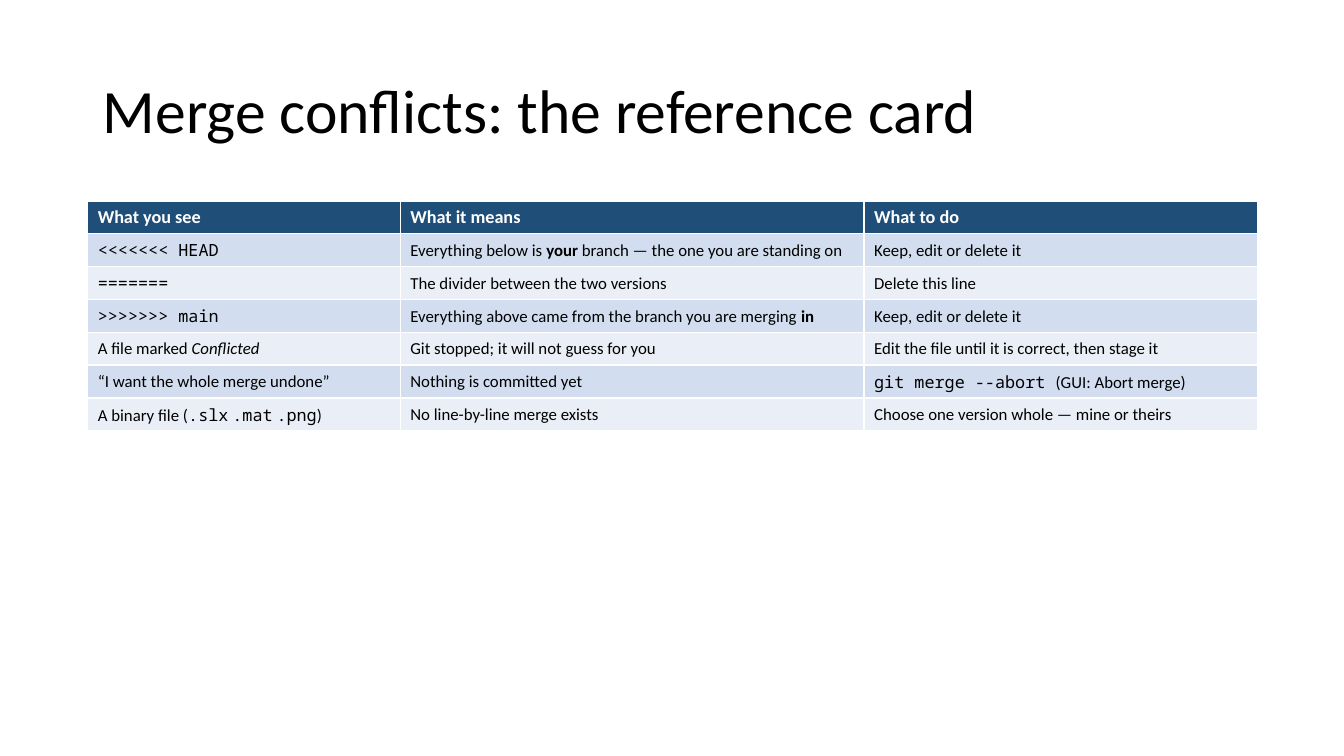
"""Build the merge conflict reference card, laid out on a tenth-inch grid."""
import pptx
import pptx.dml.color
import pptx.enum.text
import pptx.util

SANS, MONO = "Calibri", "Noto Sans Mono"
BLACK, WHITE, NAVY = "000000", "FFFFFF", "1F4E79"
BANDS = ["D2DEEF", "EAEFF7"]
COLS = [31, 46, 39]
ROW = 3.2

HEAD = ["What you see", "What it means", "What to do"]
KEEP = "Keep, edit or delete it"
BODY = [
    [[("<<<<<<< HEAD", "mono")],
     ["Everything below is ", ("your", "bold"),
      " branch — the one you are standing on"], [KEEP]],
    [[("=======", "mono")], ["The divider between the two versions"],
     ["Delete this line"]],
    [[(">>>>>>> main", "mono")],
     ["Everything above came from the branch you are merging ",
      ("in", "bold")], [KEEP]],
    [["A file marked ", ("Conflicted", "slant")],
     ["Git stopped; it will not guess for you"],
     ["Edit the file until it is correct, then stage it"]],
    [["“I want the whole merge undone”"], ["Nothing is committed yet"],
     [("git merge --abort ", "mono"), "(GUI: Abort merge)"]],
    [["A binary file (", (".slx", "mono"), " ", (".mat", "mono"), " ",
      (".png", "mono"), ")"], ["No line-by-line merge exists"],
     ["Choose one version whole — mine or theirs"]],
]


def grid(count):
    return pptx.util.Inches(count / 10)


def tint(color, code):
    color.rgb = pptx.dml.color.RGBColor.from_string(code)


def style(para, size, code, bold=False):
    para.font.name = SANS
    para.font.size = pptx.util.Pt(size)
    para.font.bold = bold
    tint(para.font.color, code)


def write(para, parts):
    for part in parts:
        text, kind = (part, "") if isinstance(part, str) else part
        run = para.add_run()
        run.text = text
        if kind == "mono":
            run.font.name = MONO
        elif kind == "bold":
            run.font.bold = True
        elif kind == "slant":
            run.font.italic = True


def add_title(slide, text):
    title = slide.shapes.title
    title.left, title.top = grid(9.2), grid(4)
    title.width, title.height = grid(115), grid(14.5)
    frame = title.text_frame
    frame.text = text
    frame.vertical_anchor = pptx.enum.text.MSO_ANCHOR.MIDDLE
    para = frame.paragraphs[0]
    para.alignment = pptx.enum.text.PP_ALIGN.LEFT
    para.line_spacing = 0.9
    style(para, 44, BLACK)


def fill_cell(cell, parts, back, size, code, bold=False):
    cell.fill.solid()
    tint(cell.fill.fore_color, back)
    cell.vertical_anchor = pptx.enum.text.MSO_ANCHOR.MIDDLE
    para = cell.text_frame.paragraphs[0]
    style(para, size, code, bold)
    write(para, parts)


def add_card(slide):
    count = len(BODY) + 1
    table = slide.shapes.add_table(
        count, len(COLS), grid(8.7), grid(20),
        grid(sum(COLS)), grid(ROW * count)).table
    for col, width in zip(table.columns, COLS):
        col.width = grid(width)
    for row in table.rows:
        row.height = grid(ROW)
    for col, text in enumerate(HEAD):
        fill_cell(table.cell(0, col), [text], NAVY, 13, WHITE, True)
    for row, cells in enumerate(BODY):
        for col, parts in enumerate(cells):
            fill_cell(table.cell(row + 1, col), parts,
                      BANDS[row % 2], 12, BLACK)


def main():
    deck = pptx.Presentation()
    deck.slide_width = pptx.util.Inches(13.33)
    deck.slide_height = pptx.util.Inches(7.5)
    slide = deck.slides.add_slide(deck.slide_layouts[5])
    add_title(slide, "Merge conflicts: the reference card")
    add_card(slide)
    deck.save("out.pptx")


if __name__ == "__main__":
    main()
